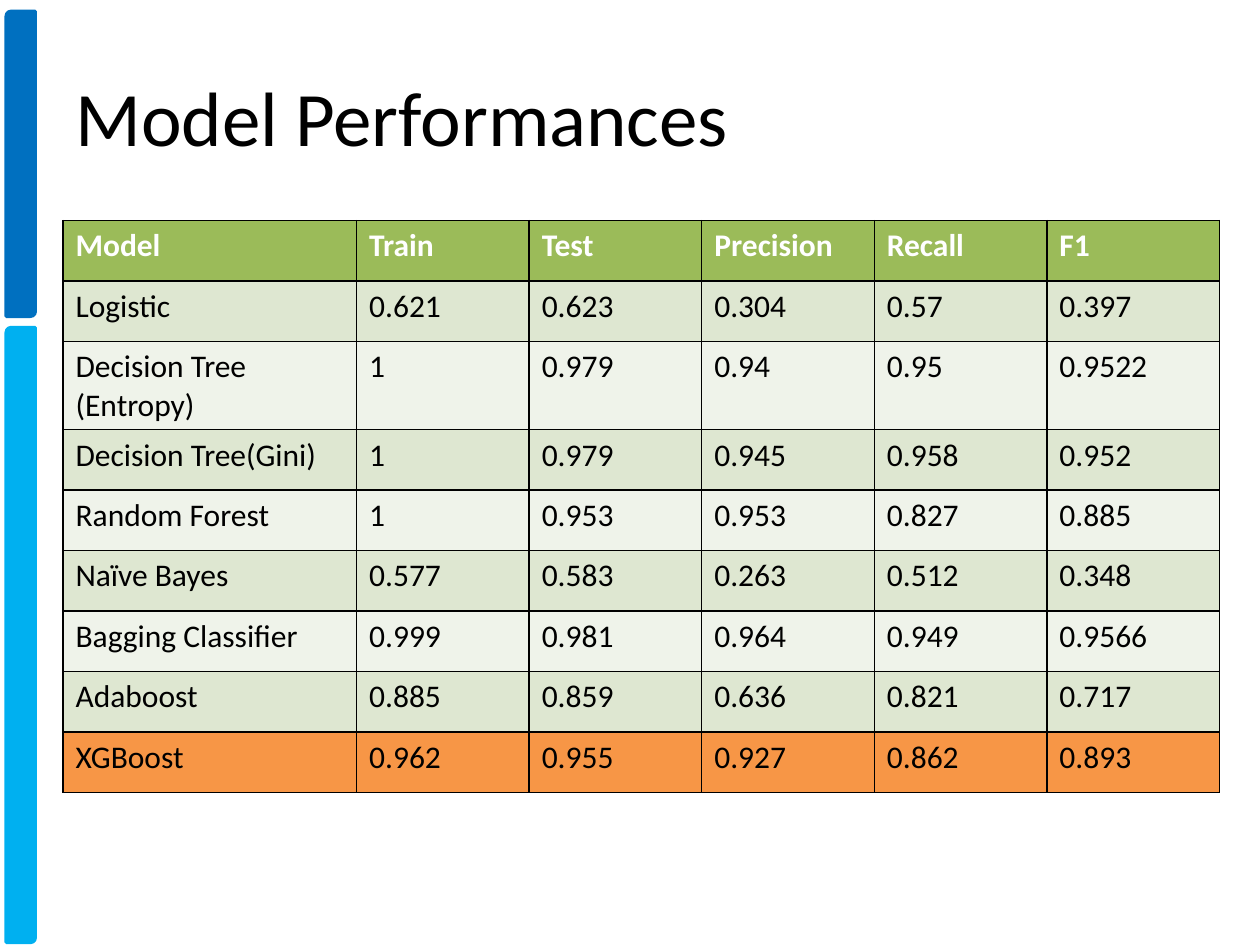
"""Build the model performance slide."""
import pptx
import pptx.util
import pptx.dml.color
import pptx.enum.shapes
import pptx.enum.text
import pptx.oxml
import pptx.oxml.ns

Inches, Pt = pptx.util.Inches, pptx.util.Pt


def paint(target, color):
    target.solid()
    target.fore_color.rgb = pptx.dml.color.RGBColor.from_string(color)


def style(para, size, color, bold=False):
    font = para.font
    font.name, font.size, font.bold = "Calibri", Pt(size), bold
    paint(font.fill, color)


deck = pptx.Presentation()
deck.slide_width, deck.slide_height = Inches(10), Inches(7.5)
slide = deck.slides.add_slide(deck.slide_layouts[6])

for top, height, color in [(0.09, 2.42, "0070C0"), (2.6, 4.88, "00B0F0")]:
    bar = slide.shapes.add_shape(
        pptx.enum.shapes.MSO_SHAPE.ROUND_2_DIAG_RECTANGLE,
        Inches(0.05), Inches(top), Inches(0.23), Inches(height))
    bar.shadow.inherit = False
    paint(bar.fill, color)
    paint(bar.line.fill, color)
    bar.line.width = Pt(2)

title = slide.shapes.add_textbox(Inches(0.5), Inches(0.29), Inches(9), Inches(1.25))
frame = title.text_frame
frame.word_wrap = True
frame.vertical_anchor = pptx.enum.text.MSO_ANCHOR.MIDDLE
frame.text = "Model Performances"
style(frame.paragraphs[0], 44, "000000")

rows = [
    ["Model", "Train", "Test", "Precision", "Recall", "F1"],
    ["Logistic", "0.621", "0.623", "0.304", "0.57", "0.397"],
    ["Decision Tree (Entropy)", "1", "0.979", "0.94", "0.95", "0.9522"],
    ["Decision Tree(Gini)", "1", "0.979", "0.945", "0.958", "0.952"],
    ["Random Forest", "1", "0.953", "0.953", "0.827", "0.885"],
    ["Naïve Bayes", "0.577", "0.583", "0.263", "0.512", "0.348"],
    ["Bagging Classifier", "0.999", "0.981", "0.964", "0.949", "0.9566"],
    ["Adaboost", "0.885", "0.859", "0.636", "0.821", "0.717"],
    ["XGBoost", "0.962", "0.955", "0.927", "0.862", "0.893"],
]
last = len(rows) - 1
fills = {0: "9BBB59", last: "F79646"}
bands = ["EFF3EA", "DEE7D1"]
edge = ('<a:{} {} w="12700"><a:solidFill><a:srgbClr val="000000"/>'
        '</a:solidFill></a:{}>')

table = slide.shapes.add_table(
    len(rows), len(rows[0]), Inches(0.5), Inches(1.75), Inches(9.17), Inches(4.54)).table
for i, col in enumerate(table.columns):
    col.width = Inches(1.37 if i else 2.33)

for r, row in enumerate(rows):
    table.rows[r].height = Inches(0.7 if r == 2 else 0.48)
    for c, text in enumerate(row):
        cell = table.cell(r, c)
        cell.text = text
        style(cell.text_frame.paragraphs[0], 18, "000000" if r else "FFFFFF", r == 0)
        props = cell._tc.get_or_add_tcPr()
        for side in ["lnL", "lnR", "lnT", "lnB"]:
            props.append(pptx.oxml.parse_xml(
                edge.format(side, pptx.oxml.ns.nsdecls("a"), side)))
        paint(cell.fill, fills.get(r, bands[r % 2]))

deck.save("out.pptx")
